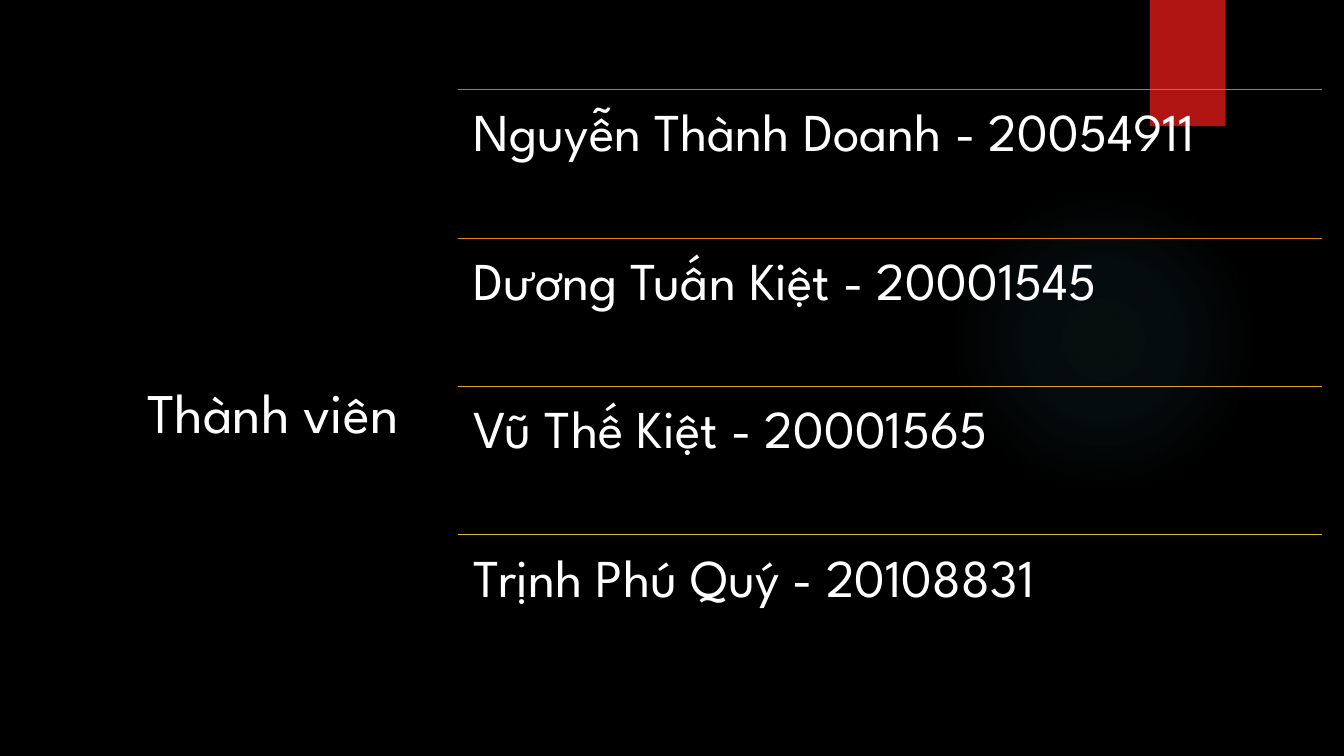
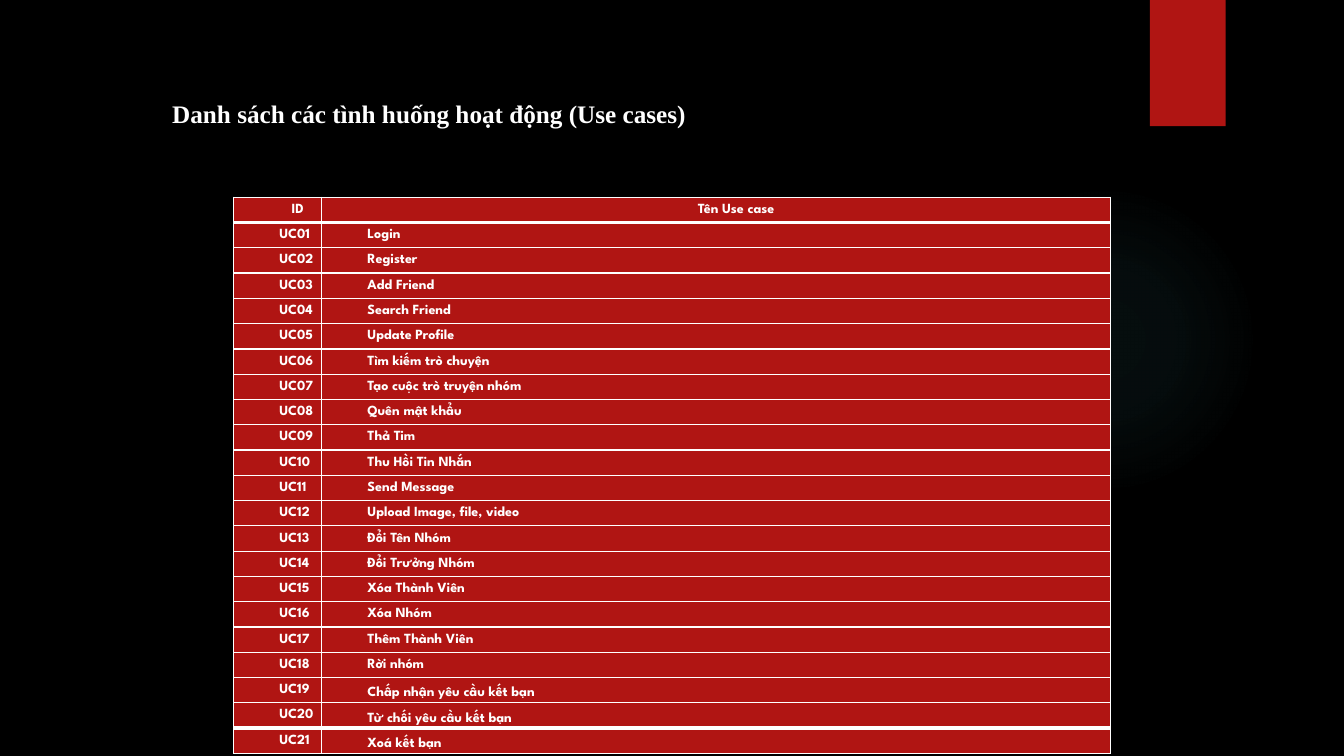
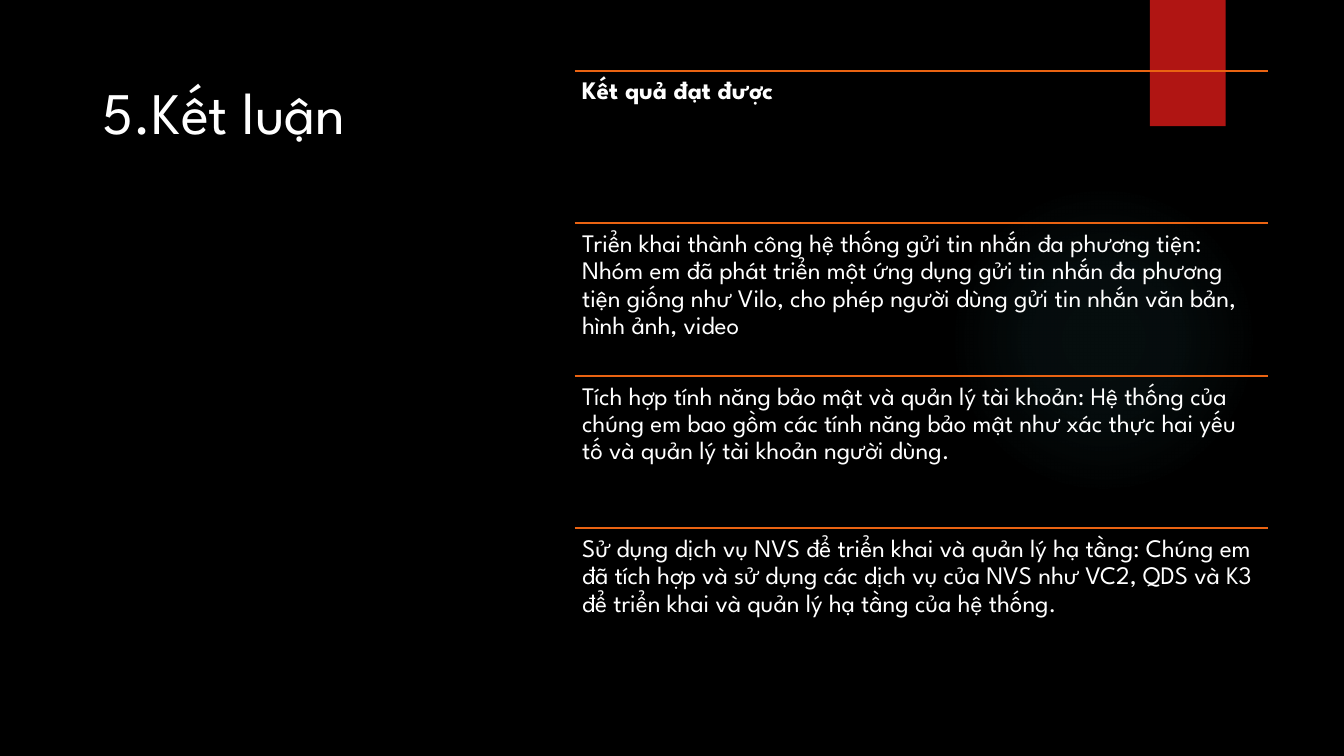
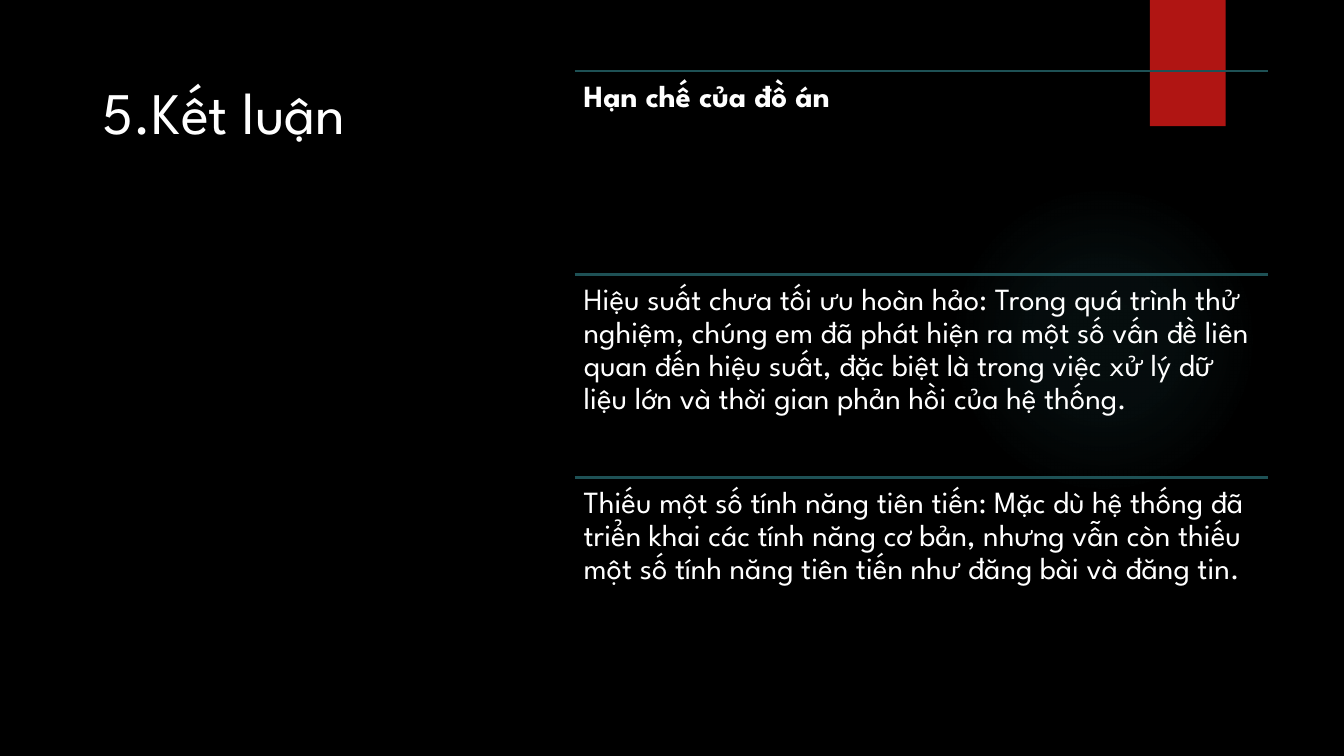
"""Build a four-slide project report deck with ruled lists and a use case table."""
import dataclasses
import typing

import pptx
import pptx.dml.color
import pptx.enum.shapes
import pptx.enum.text
import pptx.oxml
import pptx.oxml.ns
import pptx.slide
import pptx.util

Cm = pptx.util.Cm
Pt = pptx.util.Pt
Anchor = pptx.enum.text.MSO_ANCHOR
Align = pptx.enum.text.PP_ALIGN
Shape = pptx.enum.shapes.MSO_SHAPE


@dataclasses.dataclass(frozen=True)
class Theme:
    back: str = "000000"
    ink: str = "FFFFFF"
    red: str = "B01513"
    glow: str = "50B9C1"
    orange: str = "EA6312"
    teal: str = "1E5155"
    ramp: tuple[str, ...] = ("EA6312", "EA8118", "E89D21", "E6B729")
    font: str = "League Spartan"
    serif: str = "Times New Roman"
    title: float = 42
    member_title: float = 40
    heading: float = 18
    cell: float = 10


THEME = Theme()


class Area(typing.NamedTuple):
    left: float
    top: float
    width: float
    height: float

    def lengths(self) -> list[pptx.util.Length]:
        return [Cm(value) for value in self]


@dataclasses.dataclass(frozen=True)
class Style:
    size: float
    font: str = THEME.font
    bold: bool = False
    inset_x: float = 0.25
    inset_y: float = 0.13
    anchor: Anchor = Anchor.TOP
    paragraph: dict[str, typing.Any] = dataclasses.field(default_factory=dict)


@dataclasses.dataclass(frozen=True)
class RuledList:
    area: Area
    texts: tuple[str, ...]
    colours: tuple[str, ...]
    size: float
    inset: float
    rule: float
    bold_first: bool = True


TITLE = Style(THEME.title)
TITLE_AREA = Area(2.34, 1.78, 8.2, 15.47)
MEMBER_TITLE = Style(THEME.member_title, anchor=Anchor.BOTTOM, paragraph={"alignment": Align.RIGHT})
HEADING = Style(THEME.heading, THEME.serif, True, paragraph={"line_spacing": 1.5})
CELL_FORMAT = {"line_spacing": 1.5, "space_before": Pt(3), "space_after": Pt(6)}

MEMBERS = RuledList(
    Area(11.53, 2.26, 21.79, 14.96),
    (
        "Nguyễn Thành Doanh - 20054911",
        "Dương Tuấn Kiệt - 20001545",
        "Vũ Thế Kiệt - 20001565",
        "Trịnh Phú Quý - 20108831",
    ),
    THEME.ramp, 38, 0.41, 0.75, False,
)
RESULTS = RuledList(
    Area(14.48, 1.78, 17.48, 15.38),
    (
        "Kết quả đạt được",
        "Triển khai thành công hệ thống gửi tin nhắn đa phương tiện: Nhóm em đã phát triển "
        "một ứng dụng gửi tin nhắn đa phương tiện giống như Vilo, cho phép người dùng gửi "
        "tin nhắn văn bản, hình ảnh, video",
        "Tích hợp tính năng bảo mật và quản lý tài khoản: Hệ thống của chúng em bao gồm các "
        "tính năng bảo mật như xác thực hai yếu tố và quản lý tài khoản người dùng.",
        "Sử dụng dịch vụ NVS để triển khai và quản lý hạ tầng: Chúng em đã tích hợp và sử "
        "dụng các dịch vụ của NVS như VC2, QDS và K3 để triển khai và quản lý hạ tầng của "
        "hệ thống.",
    ),
    (THEME.orange,) * 4, 18, 0.19, 1.5,
)
LIMITS = RuledList(
    Area(14.48, 1.8, 17.48, 15.35),
    (
        "Hạn chế của đồ án",
        "Hiệu suất chưa tối ưu hoàn hảo: Trong quá trình thử nghiệm, chúng em đã phát hiện "
        "ra một số vấn đề liên quan đến hiệu suất, đặc biệt là trong việc xử lý dữ liệu lớn "
        "và thời gian phản hồi của hệ thống.",
        "Thiếu một số tính năng tiên tiến: Mặc dù hệ thống đã triển khai các tính năng cơ "
        "bản, nhưng vẫn còn thiếu một số tính năng tiên tiến như đăng bài và đăng tin.",
    ),
    (THEME.teal,) * 3, 22, 0.23, 1.5,
)
USE_CASES = (
    "Login", "Register", "Add Friend", "Search Friend", "Update Profile",
    "Tìm kiếm trò chuyện", "Tạo cuộc trò truyện nhóm", "Quên mật khẩu", "Thả Tim",
    "Thu Hồi Tin Nhắn", "Send Message", "Upload Image, file, video", "Đổi Tên Nhóm",
    "Đổi Trưởng Nhóm", "Xóa Thành Viên", "Xóa Nhóm", "Thêm Thành Viên", "Rời nhóm",
    "Chấp nhận yêu cầu kết bạn", "Từ chối yêu cầu kết bạn", "Xoá kết bạn",
)
CENTRED_CASES = 3


def colour(value: str) -> pptx.dml.color.RGBColor:
    return pptx.dml.color.RGBColor.from_string(value)


def drawing(xml: str) -> typing.Any:
    head, tail = xml.split(">", 1)
    slash = "/" if head.endswith("/") else ""
    return pptx.oxml.parse_xml(f"{head.rstrip('/')} {pptx.oxml.ns.nsdecls('a')}{slash}>{tail}")


def apply(target: typing.Any, values: dict[str, typing.Any]) -> None:
    for name, value in values.items():
        setattr(target, name, value)


def write(para: typing.Any, text: str, style: Style) -> None:
    apply(para, style.paragraph)
    span = para.add_run()
    span.text = text
    apply(span.font, {"name": style.font, "size": Pt(style.size), "bold": style.bold})
    span.font.color.rgb = colour(THEME.ink)


def add_text(page: pptx.slide.Slide, area: Area, text: str, style: Style) -> typing.Any:
    frame = page.shapes.add_textbox(*area.lengths()).text_frame
    apply(frame, {
        "word_wrap": True,
        "vertical_anchor": style.anchor,
        "margin_left": Cm(style.inset_x),
        "margin_right": Cm(style.inset_x),
        "margin_top": Cm(style.inset_y),
        "margin_bottom": Cm(style.inset_y),
    })
    para = frame.paragraphs[0]
    write(para, text, style)
    return para


def add_plain_shape(page: pptx.slide.Slide, kind: Shape, area: Area) -> typing.Any:
    shape = page.shapes.add_shape(kind, *area.lengths())
    shape.shadow.inherit = False
    shape.line.fill.background()
    return shape


def add_page(deck: typing.Any) -> pptx.slide.Slide:
    page = deck.slides.add_slide(deck.slide_layouts[6])
    glow = add_plain_shape(page, Shape.OVAL, Area(23.9, 4.65, 7.82, 7.82))
    glow.fill.background()
    stops = "".join(
        f'<a:gs pos="{place * 1000}"><a:srgbClr val="{THEME.glow}">'
        f'<a:alpha val="{alpha * 1000}"/></a:srgbClr></a:gs>'
        for place, alpha in ((0, 7), (36, 6), (69, 0))
    )
    gradient = drawing(
        f'<a:gradFill><a:gsLst>{stops}</a:gsLst><a:path path="circle">'
        '<a:fillToRect l="50000" t="50000" r="50000" b="50000"/></a:path></a:gradFill>'
    )
    properties = glow._element.spPr
    properties.replace(properties.find(pptx.oxml.ns.qn("a:noFill")), gradient)
    ribbon = add_plain_shape(page, Shape.RECTANGLE, Area(28.98, 0, 1.91, 3.18))
    ribbon.fill.solid()
    ribbon.fill.fore_color.rgb = colour(THEME.red)
    return page


def add_ruled_list(page: pptx.slide.Slide, ruled: RuledList) -> None:
    left, top, width, height = ruled.area
    pitch = height / len(ruled.texts)
    for index, (text, tint) in enumerate(zip(ruled.texts, ruled.colours)):
        y = top + index * pitch
        rule = page.shapes.add_connector(
            pptx.enum.shapes.MSO_CONNECTOR.STRAIGHT, Cm(left), Cm(y), Cm(left + width), Cm(y)
        )
        rule.line.color.rgb = colour(tint)
        rule.line.width = Pt(ruled.rule)
        rule._element.spPr.append(drawing("<a:effectLst/>"))
        style = Style(
            ruled.size, bold=ruled.bold_first and index == 0, inset_x=ruled.inset,
            inset_y=ruled.inset, paragraph={"line_spacing": 0.9},
        )
        add_text(page, Area(left, y, width, pitch), text, style)


def set_borders(cell: typing.Any, top: float, bottom: float) -> None:
    properties = cell._tc.get_or_add_tcPr()
    for side, width in {"L": 1, "R": 1, "T": top, "B": bottom}.items():
        properties.append(drawing(
            f'<a:ln{side} w="{Pt(width)}"><a:solidFill><a:srgbClr val="{THEME.ink}"/>'
            f"</a:solidFill></a:ln{side}>"
        ))


def add_use_case_table(page: pptx.slide.Slide) -> None:
    rows = [("ID", "Tên Use case")]
    rows += [(f"UC{number:02}", name) for number, name in enumerate(USE_CASES, 1)]
    last = len(rows) - 1
    area = Area(5.89, 4.97, 22.1, 12.34)
    table = page.shapes.add_table(len(rows), 2, *area.lengths()).table
    apply(table, {"first_row": False, "horz_banding": False})
    for column, width in zip(table.columns, (2.22, 19.88)):
        column.width = Cm(width)
    for row, texts in enumerate(rows):
        for column, text in enumerate(texts):
            cell = table.cell(row, column)
            centred = column == 1 and row > last - CENTRED_CASES
            apply(cell, {
                "margin_left": Cm(0.15),
                "margin_right": Cm(0.15),
                "margin_top": 0,
                "margin_bottom": 0,
                "vertical_anchor": Anchor.MIDDLE if centred else Anchor.TOP,
            })
            set_borders(cell, 3 if row in (1, last) else 1, 3 if row in (0, last - 1) else 1)
            cell.fill.solid()
            cell.fill.fore_color.rgb = colour(THEME.red)
            align = Align.LEFT if row else Align.CENTER
            para = cell.text_frame.paragraphs[0]
            write(para, text, Style(
                THEME.cell, bold=True, paragraph={"alignment": align, **CELL_FORMAT}
            ))
            apply_indent(para, 0, 1)


def apply_indent(para: typing.Any, margin: float, first: float) -> None:
    properties = para._p.get_or_add_pPr()
    for name, value in {"marL": margin, "indent": first}.items():
        properties.set(name, str(Cm(value)))


def main() -> None:
    deck = pptx.Presentation()
    apply(deck, {"slide_width": Cm(33.87), "slide_height": Cm(19.05)})
    backdrop = deck.slide_master.background.fill
    backdrop.solid()
    backdrop.fore_color.rgb = colour(THEME.back)

    page = add_page(deck)
    add_text(page, Area(1.63, 4.67, 8.66, 6.66), "Thành viên", MEMBER_TITLE)
    add_ruled_list(page, MEMBERS)

    page = add_page(deck)
    para = add_text(
        page, Area(1.55, 1.96, 16.94, 1.27),
        "Danh sách các tình huống hoạt động (Use cases)", HEADING,
    )
    apply_indent(para, 2.54, 0)
    add_use_case_table(page)

    for ruled in (RESULTS, LIMITS):
        page = add_page(deck)
        add_text(page, TITLE_AREA, "5.Kết luận", TITLE)
        add_ruled_list(page, ruled)

    deck.save("out.pptx")


if __name__ == "__main__":
    main()
